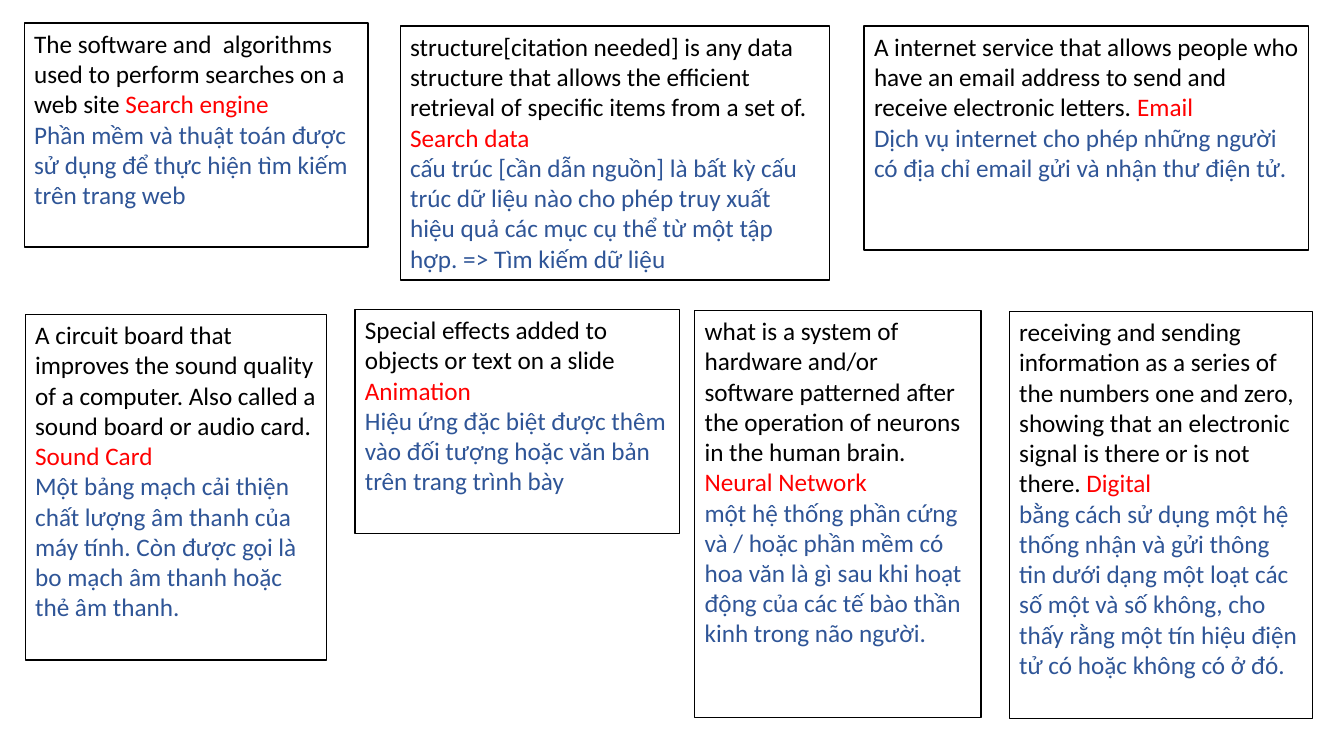
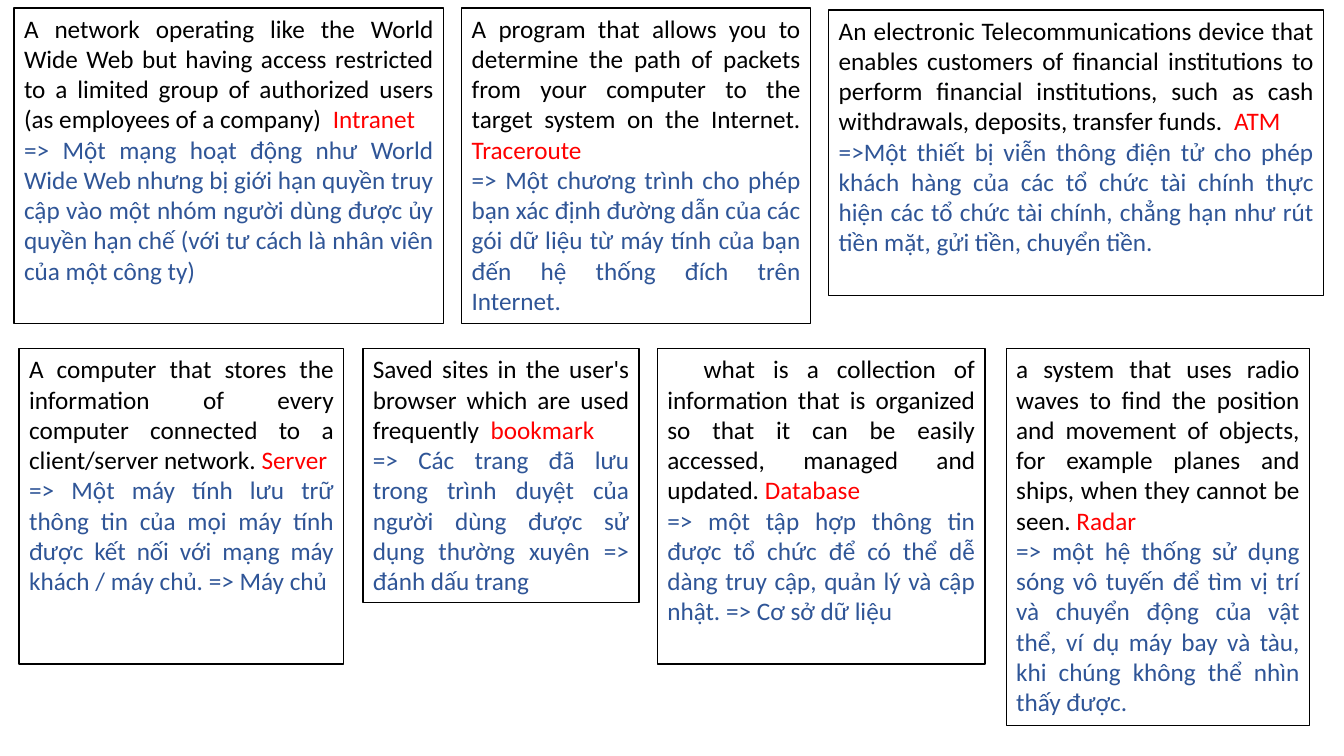
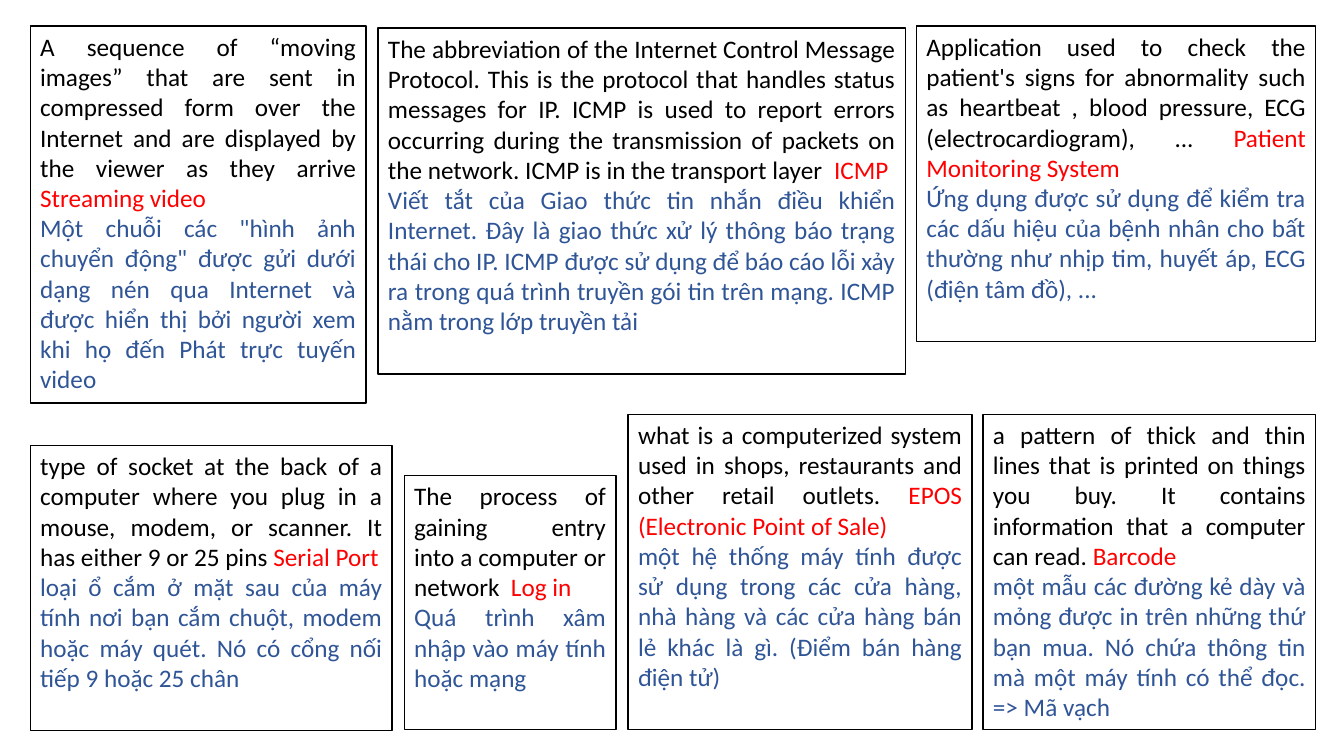
from pptx import Presentation
from pptx.dml.color import RGBColor
from pptx.enum.text import MSO_ANCHOR, MSO_AUTO_SIZE, PP_ALIGN
from pptx.util import Emu, Pt

PX = 9144
SLIDE_W, SLIDE_H = 1333, 750
LINE_H, PADDING = 30.3, 10


def px(n):
    return Emu(n * PX)


def color(value):
    return RGBColor.from_string(value)


class Deck:
    """Glossary slides made of outlined cards in one shared style."""

    FONT, SIZE = "Calibri", 18
    INK, TERM, TRANSLATION, PAPER = "000000", "FF0000", "2F5597", "FFFFFF"

    def __init__(self):
        self.prs = Presentation()
        self.prs.slide_width, self.prs.slide_height = px(SLIDE_W), px(SLIDE_H)
        self.slide = None

    def new_slide(self):
        self.slide = self.prs.slides.add_slide(self.prs.slide_layouts[6])

    def run(self, p, text, ink):
        r = p.add_run()
        r.text = text
        r.font.name, r.font.size = self.FONT, Pt(self.SIZE)
        r.font.color.rgb = color(ink)

    def card(self, box, align, definition, term, translation, indent=0):
        left, top, width, lines = box
        height = round(PADDING + LINE_H * lines)
        sp = self.slide.shapes.add_textbox(px(left), px(top), px(width), px(height))
        sp.fill.solid()
        sp.fill.fore_color.rgb = color(self.PAPER)
        sp.line.color.rgb = color(self.INK)
        sp.line.width = Pt(1)
        tf = sp.text_frame
        tf.word_wrap = True
        tf.auto_size = MSO_AUTO_SIZE.NONE
        tf.vertical_anchor = MSO_ANCHOR.TOP
        p = tf.paragraphs[0]
        p.alignment = align
        if indent:
            p._p.get_or_add_pPr().set("indent", str(px(indent)))
        self.run(p, definition, self.INK)
        self.run(p, term, self.TERM)
        p = tf.add_paragraph()
        p.alignment = align
        self.run(p, translation, self.TRANSLATION)


SLIDES = [
    (PP_ALIGN.LEFT, [
        ((24, 23, 341, 7),
         "The software and  algorithms used to perform searches on a web site ",
         "Search engine",
         "Phần mềm và thuật toán được sử dụng để thực hiện tìm kiếm trên trang web"),
        ((397, 26, 426, 8),
         "structure[citation needed] is any data structure that allows the efficient "
         "retrieval of specific items from a set of. ",
         "Search data",
         "cấu trúc [cần dẫn nguồn] là bất kỳ cấu trúc dữ liệu nào cho phép truy xuất "
         "hiệu quả các mục cụ thể từ một tập hợp. => Tìm kiếm dữ liệu"),
        ((857, 26, 441, 7),
         "A internet service that allows people who have an email address to send and "
         "receive electronic letters. ",
         "Email",
         "Dịch vụ internet cho phép những người có địa chỉ email gửi và nhận thư điện tử."),
        ((25, 312, 299, 11),
         "A circuit board that improves the sound quality of a computer. Also called a "
         "sound board or audio card. ",
         "Sound Card",
         "Một bảng mạch cải thiện chất lượng âm thanh của máy tính. Còn được gọi là "
         "bo mạch âm thanh hoặc thẻ âm thanh."),
        ((352, 307, 322, 7),
         "Special effects added to objects or text on a slide ",
         "Animation",
         "Hiệu ứng đặc biệt được thêm vào đối tượng hoặc văn bản trên trang trình bày"),
        ((689, 308, 284, 13),
         "what is a system of hardware and/or software patterned after the operation of "
         "neurons in the human brain. ",
         "Neural Network",
         "một hệ thống phần cứng và / hoặc phần mềm có hoa văn là gì sau khi hoạt động "
         "của các tế bào thần kinh trong não người."),
        ((1001, 309, 301, 13),
         "receiving and sending information as a series of the numbers one and zero, "
         "showing that an electronic signal is there or is not there. ",
         "Digital",
         "bằng cách sử dụng một hệ thống nhận và gửi thông tin dưới dạng một loạt các "
         "số một và số không, cho thấy rằng một tín hiệu điện tử có hoặc không có ở đó."),
    ]),
    (PP_ALIGN.JUSTIFY, [
        ((14, 8, 426, 10),
         "A network operating like the World Wide Web but having access restricted to a "
         "limited group of authorized users (as employees of a company)  ",
         "Intranet",
         "=> Một mạng hoạt động như World Wide Web nhưng bị giới hạn quyền truy cập vào "
         "một nhóm người dùng được ủy quyền hạn chế (với tư cách là nhân viên của một "
         "công ty)"),
        ((458, 8, 346, 10),
         "A program that allows you to determine the path of packets from your computer "
         "to the target system on the Internet. ",
         "Traceroute",
         "=> Một chương trình cho phép bạn xác định đường dẫn của các gói dữ liệu từ máy "
         "tính của bạn đến hệ thống đích trên Internet."),
        ((822, 10, 491, 9),
         "An electronic Telecommunications device that enables customers of financial "
         "institutions to perform financial institutions, such as cash withdrawals, "
         "deposits, transfer funds.  ",
         "ATM",
         "=>Một thiết bị viễn thông điện tử cho phép khách hàng của các tổ chức tài "
         "chính thực hiện các tổ chức tài chính, chẳng hạn như rút tiền mặt, gửi tiền, "
         "chuyển tiền."),
        ((19, 346, 322, 10),
         "A computer that stores the information of every computer connected to a "
         "client/server network. ",
         "Server",
         "=> Một máy tính lưu trữ thông tin của mọi máy tính được kết nối với mạng máy "
         "khách / máy chủ. => Máy chủ"),
        ((360, 346, 274, 8),
         "Saved sites in the user's browser which are used frequently  ",
         "bookmark",
         "=> Các trang đã lưu trong trình duyệt của người dùng được sử dụng thường xuyên "
         "=> đánh dấu trang"),
        ((652, 346, 325, 10),
         "what is a collection of information that is organized so that it can be easily "
         "accessed, managed and updated. ",
         "Database",
         "=> một tập hợp thông tin được tổ chức để có thể dễ dàng truy cập, quản lý và "
         "cập nhật. => Cơ sở dữ liệu",
         36),
        ((998, 346, 301, 12),
         "a system that uses radio waves to find the position and movement of objects, "
         "for example planes and ships, when they cannot be seen. ",
         "Radar",
         "=> một hệ thống sử dụng sóng vô tuyến để tìm vị trí và chuyển động của vật "
         "thể, ví dụ máy bay và tàu, khi chúng không thể nhìn thấy được."),
    ]),
    (PP_ALIGN.JUSTIFY, [
        ((30, 26, 333, 12),
         "A sequence of “moving images” that are sent in compressed form over the "
         "Internet and are displayed by the viewer as they arrive ",
         "Streaming video",
         "Một chuỗi các \"hình ảnh chuyển động\" được gửi dưới dạng nén qua Internet và "
         "được hiển thị bởi người xem khi họ đến Phát trực tuyến video"),
        ((375, 28, 523, 11),
         "The abbreviation of the Internet Control Message Protocol. This is the protocol "
         "that handles status messages for IP. ICMP is used to report errors occurring "
         "during the transmission of packets on the network. ICMP is in the transport "
         "layer  ",
         "ICMP",
         "Viết tắt của Giao thức tin nhắn điều khiển Internet. Đây là giao thức xử lý "
         "thông báo trạng thái cho IP. ICMP được sử dụng để báo cáo lỗi xảy ra trong quá "
         "trình truyền gói tin trên mạng. ICMP nằm trong lớp truyền tải"),
        ((909, 26, 396, 10),
         "Application used to check the patient's signs for abnormality such as heartbeat "
         ", blood pressure, ECG (electrocardiogram), ... ",
         "Patient Monitoring System",
         "Ứng dụng được sử dụng để kiểm tra các dấu hiệu của bệnh nhân cho bất thường "
         "như nhịp tim, huyết áp, ECG (điện tâm đồ), ..."),
        ((30, 442, 359, 9),
         "type of socket at the back of a computer where you plug in a mouse, modem, or "
         "scanner. It has either 9 or 25 pins ",
         "Serial Port",
         "loại ổ cắm ở mặt sau của máy tính nơi bạn cắm chuột, modem hoặc máy quét. Nó "
         "có cổng nối tiếp 9 hoặc 25 chân"),
        ((401, 472, 210, 8),
         "The process of gaining    entry into a computer or network  ",
         "Log in",
         "Quá trình xâm nhập vào máy tính hoặc mạng"),
        ((623, 411, 341, 10),
         "what is a computerized system used in shops, restaurants and other retail "
         "outlets. ",
         "EPOS (Electronic Point of Sale)",
         "một hệ thống máy tính được sử dụng trong các cửa hàng, nhà hàng và các cửa "
         "hàng bán lẻ khác là gì. (Điểm bán hàng điện tử)"),
        ((975, 411, 330, 10),
         "a pattern of thick and thin lines that is printed on things you buy. It "
         "contains information that a computer can read. ",
         "Barcode",
         "một mẫu các đường kẻ dày và mỏng được in trên những thứ bạn mua. Nó chứa thông "
         "tin mà một máy tính có thể đọc. => Mã vạch"),
    ]),
]


def main():
    deck = Deck()
    for align, cards in SLIDES:
        deck.new_slide()
        for box, *texts in cards:
            deck.card(box, align, *texts)
    deck.prs.save("out.pptx")


if __name__ == "__main__":
    main()
